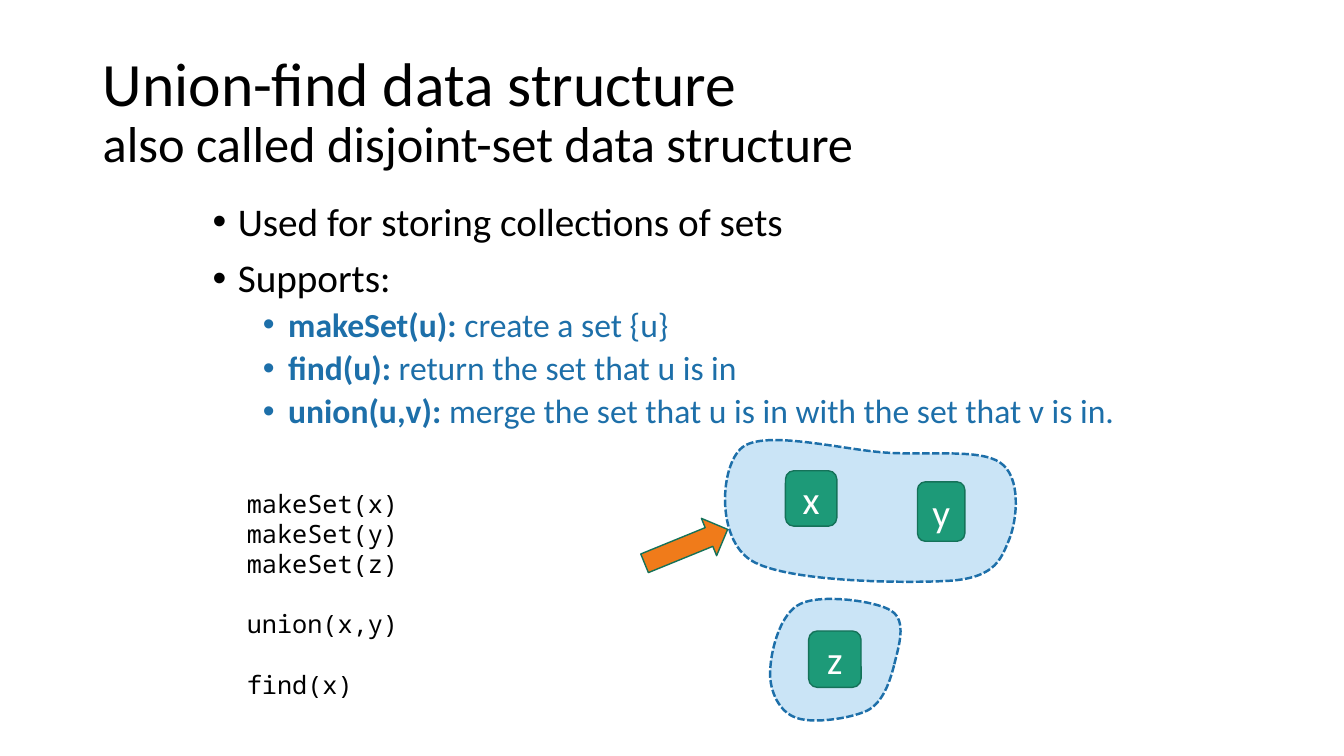
from lxml.etree import SubElement
from pptx import Presentation
from pptx.dml.color import RGBColor
from pptx.enum.dml import MSO_LINE_DASH_STYLE as Dash
from pptx.enum.shapes import MSO_SHAPE as Shape
from pptx.enum.text import MSO_ANCHOR as Anchor, MSO_AUTO_SIZE as AutoSize, PP_ALIGN as Align
from pptx.oxml.ns import qn
from pptx.util import Pt

PX = 9144
BLACK, WHITE, BLUE, PALE = "000000", "FFFFFF", "1D6FA9", "CAE4F6"
GREEN, DARK_GREEN, ORANGE = "1D9A78", "157259", "F07B1A"

TITLE = ("Union-find data structure", "also called disjoint-set data structure")
TOPICS = ["Used for storing collections of sets", "Supports:"]
OPERATIONS = [
    ("makeSet(u): ", "create a set {u}"),
    ("find(u): ", "return the set that u is in"),
    ("union(u,v): ", "merge the set that u is in with the set that v is in."),
]
CODE_GROUPS = [["makeSet(x)", "makeSet(y)", "makeSet(z)"], ["union(x,y)"], ["find(x)"]]

XY_OUTLINE = [
    (273, 23), (294, 37), (290, 79), (282, 99), (274, 118), (269, 136), (226, 140),
    (183, 143), (61, 142), (26, 120), (-9, 98), (-5, 26), (17, 8),
    (39, -10), (116, 10), (159, 13), (202, 16), (253, 9), (273, 23),
]
Z_OUTLINE = [
    (123, 65), (127, 48), (136, 22), (120, 12), (105, 2), (50, -5), (30, 5),
    (10, 14), (1, 50), (0, 69), (-2, 88), (7, 110), (23, 117),
    (39, 125), (79, 119), (96, 111), (112, 103), (119, 81), (123, 65),
]


def color(value):
    return RGBColor.from_string(value)


def emu(*lengths):
    return [length * PX for length in lengths]


def style_font(font, size, value, name="Calibri", bold=False):
    font.size, font.name, font.bold = Pt(size), name, bold
    font.color.rgb = color(value)


def style_shape(shape, fill, line, width):
    shape.shadow.inherit = False
    shape.fill.solid()
    shape.fill.fore_color.rgb = color(fill)
    shape.line.color.rgb = color(line)
    shape.line.width = Pt(width)


def add_text(slide, box):
    frame = slide.shapes.add_textbox(*emu(*box)).text_frame
    frame.word_wrap = True
    return frame


def next_paragraph(frame, index):
    return frame.add_paragraph() if index else frame.paragraphs[0]


def add_title(slide, box):
    frame = add_text(slide, box)
    frame.vertical_anchor = Anchor.MIDDLE
    paragraph = frame.paragraphs[0]
    paragraph.text = "\v".join(TITLE)
    paragraph.line_spacing = 0.9
    for run, size in zip(paragraph.runs, (44, 36)):
        style_font(run.font, size, BLACK)


def add_bullet(paragraph, margin, space):
    properties = paragraph._p.get_or_add_pPr()
    properties.set("marL", str(margin * PX))
    properties.set("indent", str(-25 * PX))
    SubElement(properties, qn("a:buFont"), typeface="Arial")
    SubElement(properties, qn("a:buChar"), char="•")
    paragraph.line_spacing = 0.9
    paragraph.space_before = Pt(space)


def add_body(slide, box):
    frame = add_text(slide, box)
    for index, topic in enumerate(TOPICS):
        paragraph = next_paragraph(frame, index)
        add_bullet(paragraph, 25, 10 if index else 0)
        paragraph.text = topic
        style_font(paragraph.runs[0].font, 28, BLACK)
    for operation in OPERATIONS:
        paragraph = frame.add_paragraph()
        paragraph.level = 1
        add_bullet(paragraph, 75, 5)
        for text, bold in zip(operation, (True, False)):
            run = paragraph.add_run()
            run.text = text
            style_font(run.font, 24, BLUE, bold=bold)


def add_code(slide, box):
    frame = add_text(slide, box)
    frame.auto_size = AutoSize.SHAPE_TO_FIT_TEXT
    for group_index, group in enumerate(CODE_GROUPS):
        for line_index, line in enumerate(group):
            paragraph = next_paragraph(frame, group_index + line_index)
            paragraph.text = line
            starts_group = group_index and not line_index
            paragraph.space_before = Pt(21.5 if starts_group else 0)
            style_font(paragraph.runs[0].font, 18, BLACK, "Noto Sans Mono")


def add_path_step(path, tag, points):
    step = SubElement(path, qn(tag))
    for x, y in points:
        SubElement(step, qn("a:pt"), x=str(x * PX), y=str(y * PX))


def add_set(slide, box, outline):
    left, top, width, height = emu(*box)
    builder = slide.shapes.build_freeform(left, top)
    builder.add_line_segments([(left + width, top), (left + width, top + height), (left, top + height)])
    shape = builder.convert_to_shape()
    path = next(shape._element.iter(qn("a:path")))
    for corner in list(path):
        path.remove(corner)
    add_path_step(path, "a:moveTo", outline[:1])
    for start in range(1, len(outline), 3):
        add_path_step(path, "a:cubicBezTo", outline[start:start + 3])
    SubElement(path, qn("a:close"))
    style_shape(shape, PALE, BLUE, 1.75)
    shape.line.dash_style = Dash.SQUARE_DOT


def add_element(slide, label, box):
    shape = slide.shapes.add_shape(Shape.ROUNDED_RECTANGLE, *emu(*box))
    style_shape(shape, GREEN, DARK_GREEN, 1)
    frame = shape.text_frame
    frame.text = label
    frame.vertical_anchor = Anchor.MIDDLE
    paragraph = frame.paragraphs[0]
    paragraph.alignment = Align.CENTER
    style_font(paragraph.runs[0].font, 28, WHITE)


def add_sets_diagram(slide, left, top):
    add_set(slide, (left + 83, top, 289, 141), XY_OUTLINE)
    add_set(slide, (left + 128, top + 158, 129, 121), Z_OUTLINE)
    add_element(slide, "x", (left + 143, top + 31, 51, 55))
    add_element(slide, "y", (left + 274, top + 42, 47, 59))
    add_element(slide, "z", (left + 166, top + 190, 52, 56))
    arrow = slide.shapes.add_shape(Shape.RIGHT_ARROW, *emu(left, top + 86, 89, 40))
    style_shape(arrow, ORANGE, DARK_GREEN, 1)
    arrow.rotation = 337.8


def main():
    presentation = Presentation()
    presentation.slide_width, presentation.slide_height = emu(1333, 750)
    slide = presentation.slides.add_slide(presentation.slide_layouts[6])
    add_title(slide, (92, 40, 1150, 145))
    add_body(slide, (201, 196, 931, 476))
    add_code(slide, (235, 479, 393, 222))
    add_sets_diagram(slide, 636, 436)
    presentation.save("out.pptx")


if __name__ == "__main__":
    main()
